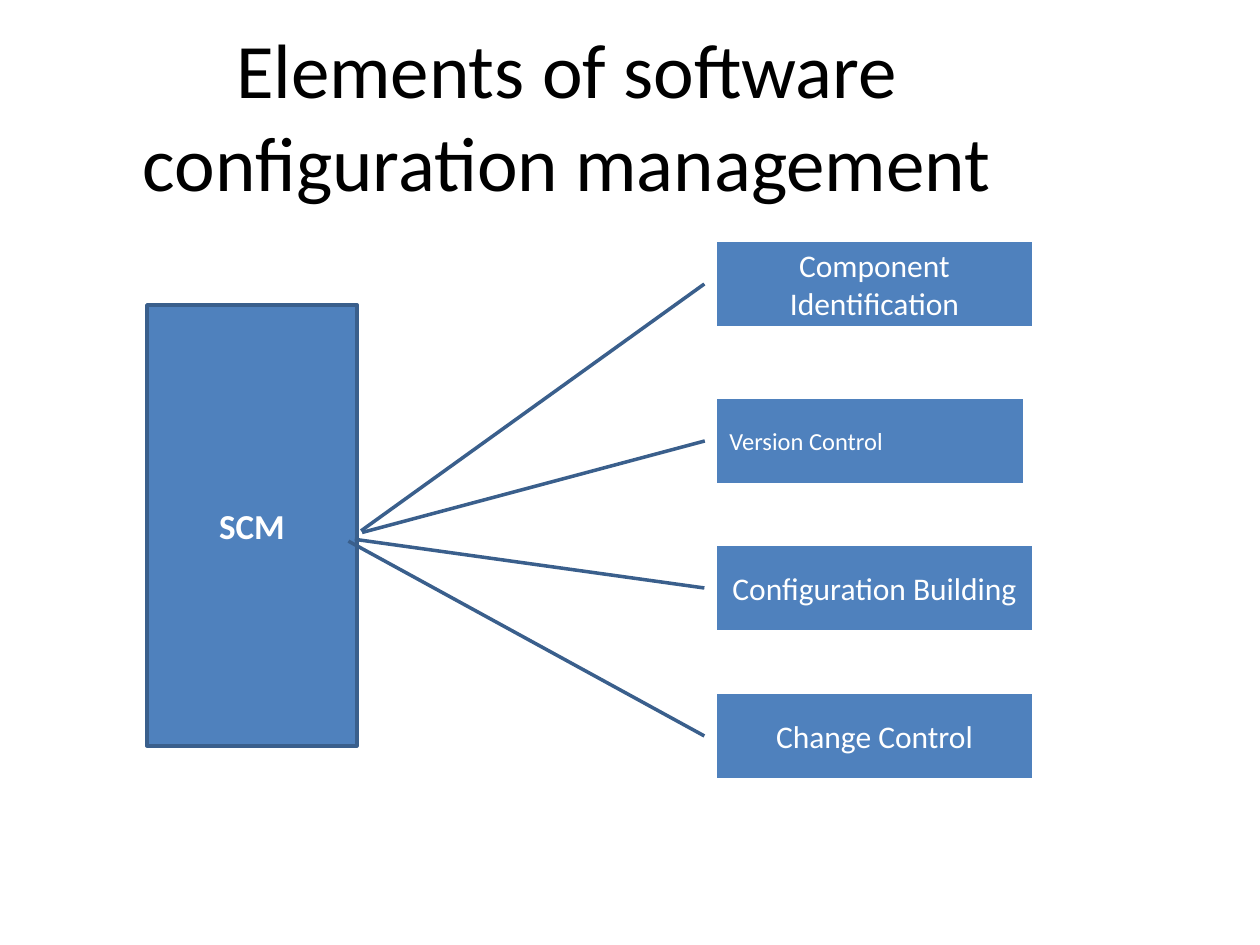
from pptx import Presentation
from pptx.dml.color import RGBColor
from pptx.enum.shapes import MSO_SHAPE as Shape
from pptx.enum.text import MSO_ANCHOR as Anchor, MSO_AUTO_SIZE as AutoSize, PP_ALIGN as Align
from pptx.util import Emu, Pt

THEME = {
    "font": "Calibri",
    "black": RGBColor(0x00, 0x00, 0x00),
    "white": RGBColor(0xFF, 0xFF, 0xFF),
    "blue": RGBColor(0x4F, 0x81, 0xBD),
    "edge": RGBColor(0x3A, 0x5F, 0x8C),
    "edge_width": Pt(2),
    "title": Pt(44),
    "hub": Pt(20),
    "label": Pt(18),
    "small": Pt(14),
}
SCALE = 914400 / 126


def px(length):
    return Emu(round(length * SCALE))


def write(shape, text, size, color, align=Align.CENTER, anchor=Anchor.MIDDLE, bold=False):
    frame = shape.text_frame
    frame_format = {"word_wrap": True, "auto_size": AutoSize.NONE, "vertical_anchor": anchor}
    for name, value in frame_format.items():
        setattr(frame, name, value)
    para = frame.paragraphs[0]
    para.alignment = align
    span = para.add_run()
    span.text = text
    span.font.color.rgb = color
    for name, value in {"name": THEME["font"], "size": size, "bold": bold}.items():
        setattr(span.font, name, value)


deck = Presentation()
deck.slide_width, deck.slide_height = px(1260), px(945)
page = deck.slides.add_slide(deck.slide_layouts[5])

title = page.shapes.title
title_place = {"left": 63, "top": 53, "width": 1008, "height": 160}
for name, value in title_place.items():
    setattr(title, name, px(value))
write(title, "Elements of software configuration management",
      THEME["title"], THEME["black"], anchor=Anchor.BOTTOM)

hub = page.shapes.add_shape(Shape.RECTANGLE, px(147), px(305), px(210), px(441))
write(hub, "SCM", THEME["hub"], THEME["white"], bold=True)
boxes = [hub]

elements = [
    ("Component Identification", 242, 315, "label", Align.CENTER, (3.44, -1.13)),
    ("Version Control", 399, 306, "small", Align.LEFT, (1.59, -1.16)),
    ("Configuration Building", 546, 315, "label", Align.CENTER, (-0.08, -1.15)),
    ("Change Control", 694, 315, "label", Align.CENTER, (-1.82, -1.17)),
]
for text, top, width, size, align, tip in elements:
    callout = page.shapes.add_shape(
        Shape.LINE_CALLOUT_1_NO_BORDER, px(717), px(top), px(width), px(84))
    for index, value in enumerate((0.5, -0.04, *tip)):
        callout.adjustments[index] = value
    write(callout, text, THEME[size], THEME["white"], align)
    boxes.append(callout)

for box in boxes:
    box.shadow.inherit = False
    box.fill.solid()
    box.fill.fore_color.rgb = THEME["blue"]
    box.line.color.rgb = THEME["edge"]
    box.line.width = THEME["edge_width"]

deck.save("out.pptx")
